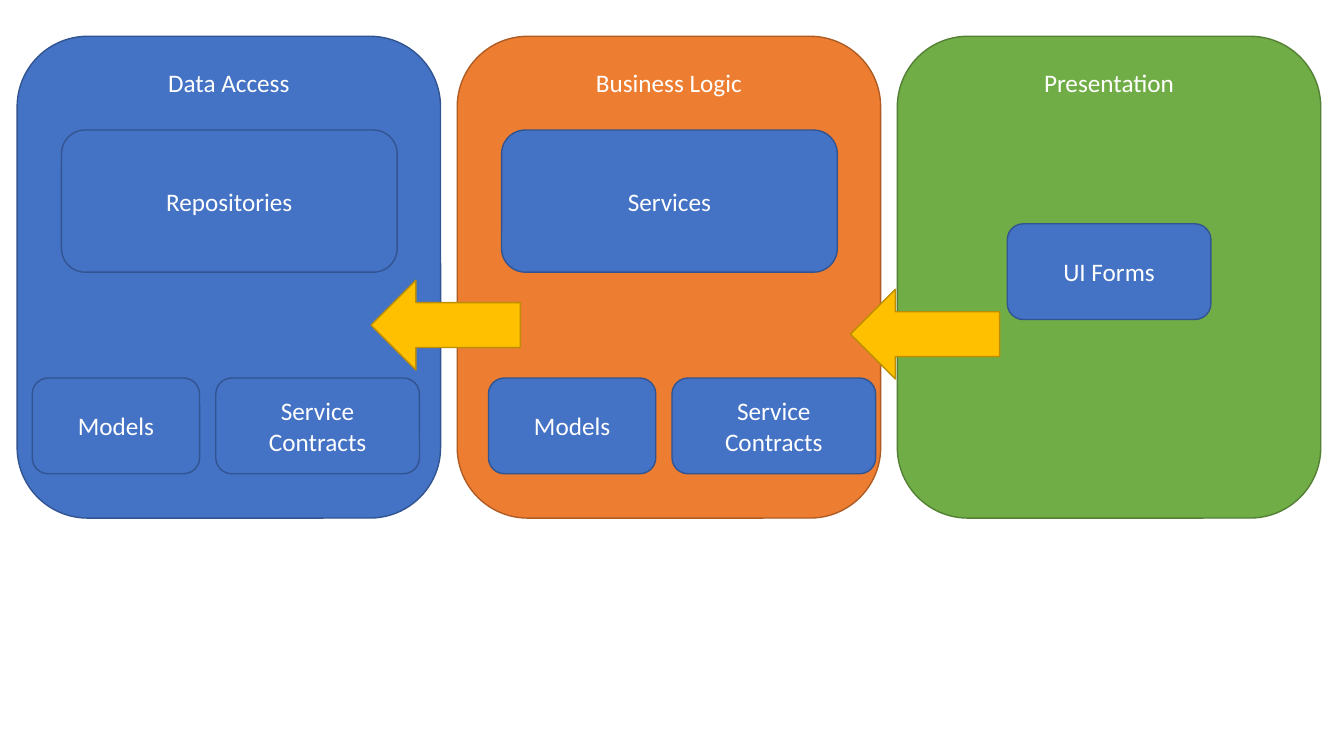
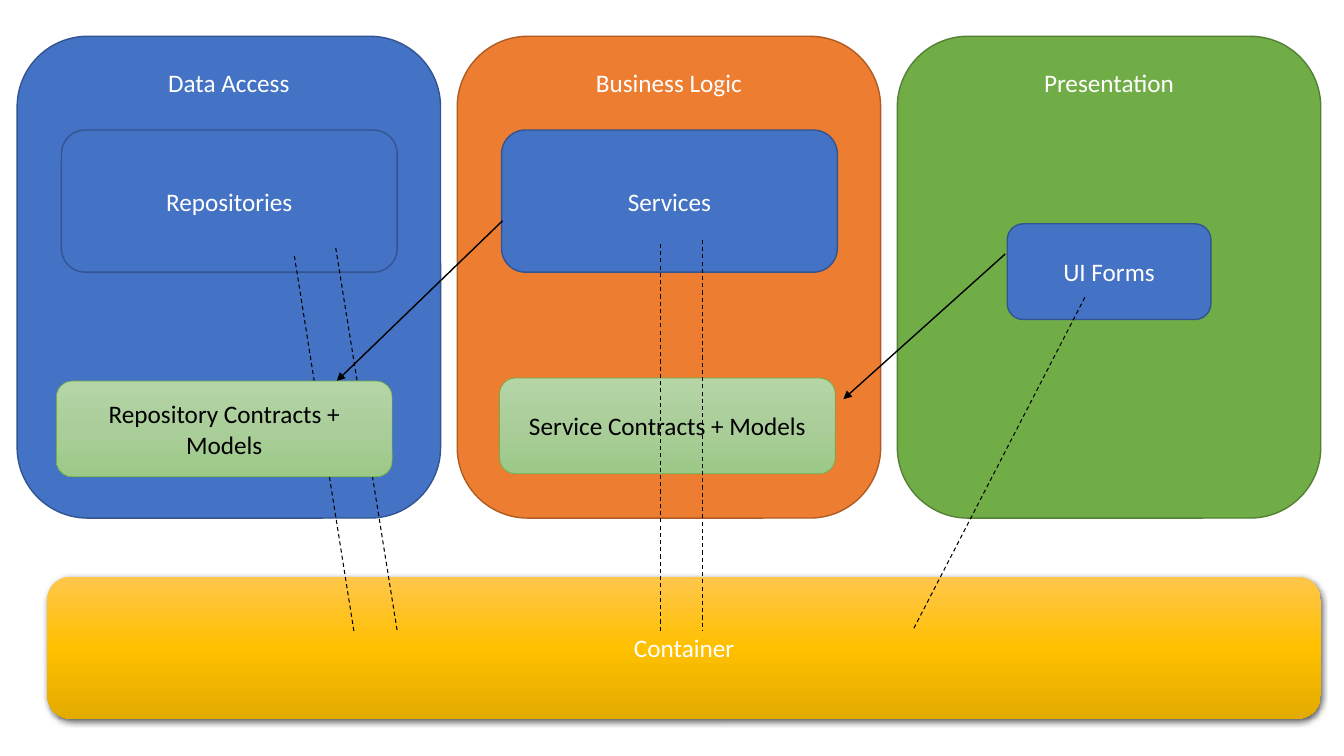
from copy import deepcopy

from lxml import etree
from pptx import Presentation
from pptx.dml.color import RGBColor
from pptx.enum.dml import MSO_LINE
from pptx.enum.shapes import MSO_CONNECTOR, MSO_SHAPE
from pptx.enum.text import MSO_ANCHOR, PP_ALIGN
from pptx.oxml.ns import qn
from pptx.util import Inches, Pt

ROUNDED = MSO_SHAPE.ROUNDED_RECTANGLE
LEFT_ARROW = MSO_SHAPE.LEFT_ARROW
STRAIGHT = MSO_CONNECTOR.STRAIGHT
DASH = MSO_LINE.DASH
CENTER = PP_ALIGN.CENTER
TOP, MIDDLE = MSO_ANCHOR.TOP, MSO_ANCHOR.MIDDLE

WHITE = RGBColor(0xFF, 0xFF, 0xFF)
BLACK = RGBColor(0x00, 0x00, 0x00)
BLUE = RGBColor(0x44, 0x72, 0xC4)
BLUE_EDGE = RGBColor(0x32, 0x54, 0x91)
ORANGE = RGBColor(0xED, 0x7D, 0x31)
ORANGE_EDGE = RGBColor(0xAF, 0x5C, 0x24)
GREEN = RGBColor(0x70, 0xAD, 0x47)
GREEN_EDGE = RGBColor(0x53, 0x80, 0x35)
GOLD = RGBColor(0xFF, 0xC0, 0x00)
GOLD_EDGE = RGBColor(0xBD, 0x8E, 0x00)
GREEN_FADE = (RGBColor(0xB5, 0xD5, 0xA7), RGBColor(0xAA, 0xCE, 0x9A), RGBColor(0x9C, 0xC9, 0x87))
GOLD_FADE = (RGBColor(0xFF, 0xC6, 0x4B), GOLD, RGBColor(0xE3, 0xAB, 0x00))

FONT, FONT_SIZE = "Calibri", 18
SLIDE_WIDTH, SLIDE_HEIGHT = 13.33, 7.5
GRID_LEFT, GRID_RIGHT = 0.17, 13.1
PANEL_TOP, PANEL_WIDTH, PANEL_HEIGHT = 0.36, 4.2, 4.78
COLUMN_PITCH = (GRID_RIGHT - GRID_LEFT - PANEL_WIDTH) / 2
MAIN_ROW, FORMS_ROW, CONTRACT_ROW, CONTAINER_ROW = 1.29, 2.22, 3.75, 5.72
WIRE_END = 6.26
WIDE, MEDIUM, NARROW = 3.33, 2.02, 1.66
TALL, SHORT = 1.41, 0.95
ARROW_WIDTH, ARROW_HEIGHT = 1.48, 0.89

PANELS = (
    ("Data Access", BLUE, BLUE_EDGE),
    ("Business Logic", ORANGE, ORANGE_EDGE),
    ("Presentation", GREEN, GREEN_EDGE),
)
CORE_BOXES = (
    ("Repositories", 0, 0.44, MAIN_ROW, WIDE, TALL),
    ("Services", 1, 0.44, MAIN_ROW, WIDE, TALL),
    ("UI Forms", 2, 1.09, FORMS_ROW, MEDIUM, SHORT),
)
LAYER_ARROWS = ((0, 3.51, 2.78), (1, 3.9, 2.87))
CONTAINER_WIRES = (
    ((0, 2.75, 2.54), (0, 3.34, WIRE_END)),
    ((0, 3.16, 2.46), (0, 3.77, WIRE_END)),
    ((1, 2.02, 2.42), (1, 2.02, WIRE_END)),
    ((1, 2.43, 2.38), (1, 2.43, WIRE_END)),
    ((2, 1.86, 2.95), (2, 0.15, WIRE_END)),
)
DEPENDENCIES = (
    ((2, 1.07, 2.52), (1, 3.83, 3.96)),
    ((1, 0.45, 2.19), (0, 3.17, 3.78)),
)


def column_x(column, offset=0):
    return GRID_LEFT + column * COLUMN_PITCH + offset


def fade_fill(shape, colors):
    shape.fill.gradient()
    shape.fill.gradient_angle = 270
    stop_list = shape.element.spPr.find(".//" + qn("a:gsLst"))
    stop_list.insert(1, deepcopy(stop_list[0]))
    for index, (stop, color) in enumerate(zip(shape.fill.gradient_stops, colors)):
        stop.color.rgb = color
        stop.position = index / 2


def add_block(slide, kind, left, top, width, height, fill, edge=None, edge_width=1):
    shape = slide.shapes.add_shape(kind, Inches(left), Inches(top), Inches(width), Inches(height))
    shape.shadow.inherit = False
    if isinstance(fill, RGBColor):
        shape.fill.solid()
        shape.fill.fore_color.rgb = fill
    else:
        fade_fill(shape, fill)
    if edge is None:
        shape.line.fill.background()
    else:
        shape.line.color.rgb = edge
        shape.line.width = Pt(edge_width)
    return shape


def set_label(shape, text, color=WHITE, anchor=MIDDLE):
    frame = shape.text_frame
    frame.text = text
    frame.word_wrap = True
    frame.vertical_anchor = anchor
    frame.margin_top = Inches(0.1 if anchor == TOP else 0.05)
    paragraph = frame.paragraphs[0]
    paragraph.alignment = CENTER
    font = paragraph.runs[0].font
    font.name, font.size, font.color.rgb = FONT, Pt(FONT_SIZE), color


def add_blue_box(slide, text, column, offset, top, width, height):
    shape = add_block(slide, ROUNDED, column_x(column, offset), top, width, height, BLUE, BLUE_EDGE)
    set_label(shape, text)


def add_contract_box(slide, text, column, offset, top):
    shape = add_block(slide, ROUNDED, column_x(column, offset), top, WIDE, SHORT, GREEN_FADE, GREEN, 0.5)
    set_label(shape, text, BLACK)


def add_link(slide, start, end, width):
    points = [Inches(length) for column, offset, y in (start, end) for length in (column_x(column, offset), y)]
    connector = slide.shapes.add_connector(STRAIGHT, *points)
    connector.line.color.rgb = BLACK
    connector.line.width = Pt(width)
    etree.SubElement(connector.element.spPr, qn("a:effectLst"))
    return connector


def add_wire(slide, start, end):
    add_link(slide, start, end, 0.75).line.dash_style = DASH


def add_dependency(slide, start, end):
    connector = add_link(slide, start, end, 1)
    line = connector.element.spPr.find(qn("a:ln"))
    etree.SubElement(line, qn("a:tailEnd"), type="triangle")


def add_container(slide):
    left = column_x(0, 0.3)
    shape = add_block(slide, ROUNDED, left, CONTAINER_ROW, GRID_RIGHT - left, TALL, GOLD_FADE)
    set_label(shape, "Container")
    effects = shape.element.spPr.find(qn("a:effectLst"))
    shadow = etree.SubElement(effects, qn("a:outerShdw"), blurRad=str(Pt(4.5)), dist=str(Pt(1.5)),
                              dir="5400000", algn="ctr", rotWithShape="0")
    color = etree.SubElement(shadow, qn("a:srgbClr"), val=str(BLACK))
    etree.SubElement(color, qn("a:alpha"), val="63000")


def add_layers_slide(presentation):
    slide = presentation.slides.add_slide(presentation.slide_layouts[6])
    for column, (title, fill, edge) in enumerate(PANELS):
        panel = add_block(slide, ROUNDED, column_x(column), PANEL_TOP, PANEL_WIDTH, PANEL_HEIGHT, fill, edge)
        set_label(panel, title, anchor=TOP)
    for box in CORE_BOXES:
        add_blue_box(slide, *box)
    return slide


def build_layer_slide(presentation):
    slide = add_layers_slide(presentation)
    for column, offset in ((0, 0.15), (1, 0.31)):
        add_blue_box(slide, "Models", column, offset, CONTRACT_ROW, NARROW, SHORT)
        add_blue_box(slide, "Service Contracts", column, offset + 1.82, CONTRACT_ROW, MEDIUM, SHORT)
    for column, offset, top in LAYER_ARROWS:
        add_block(slide, LEFT_ARROW, column_x(column, offset), top, ARROW_WIDTH, ARROW_HEIGHT, GOLD, GOLD_EDGE)


def build_container_slide(presentation):
    slide = add_layers_slide(presentation)
    add_contract_box(slide, "Service Contracts + Models", 1, 0.42, CONTRACT_ROW)
    add_container(slide)
    for start, end in CONTAINER_WIRES:
        add_wire(slide, start, end)
    for start, end in DEPENDENCIES:
        add_dependency(slide, start, end)
    add_contract_box(slide, "Repository Contracts + Models", 0, 0.39, CONTRACT_ROW + 0.03)


def main():
    presentation = Presentation()
    presentation.slide_width = Inches(SLIDE_WIDTH)
    presentation.slide_height = Inches(SLIDE_HEIGHT)
    build_layer_slide(presentation)
    build_container_slide(presentation)
    presentation.save("out.pptx")


if __name__ == "__main__":
    main()
